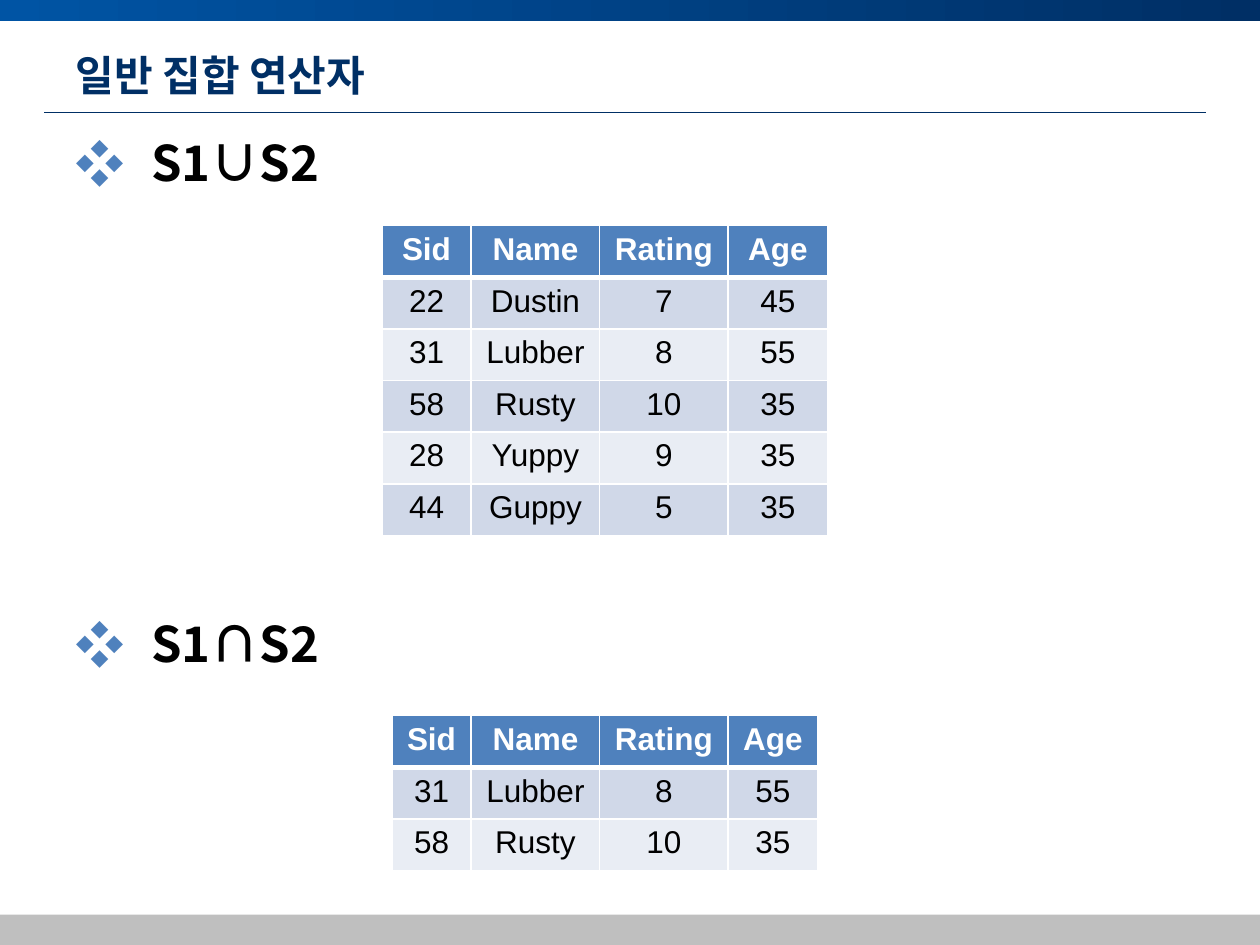
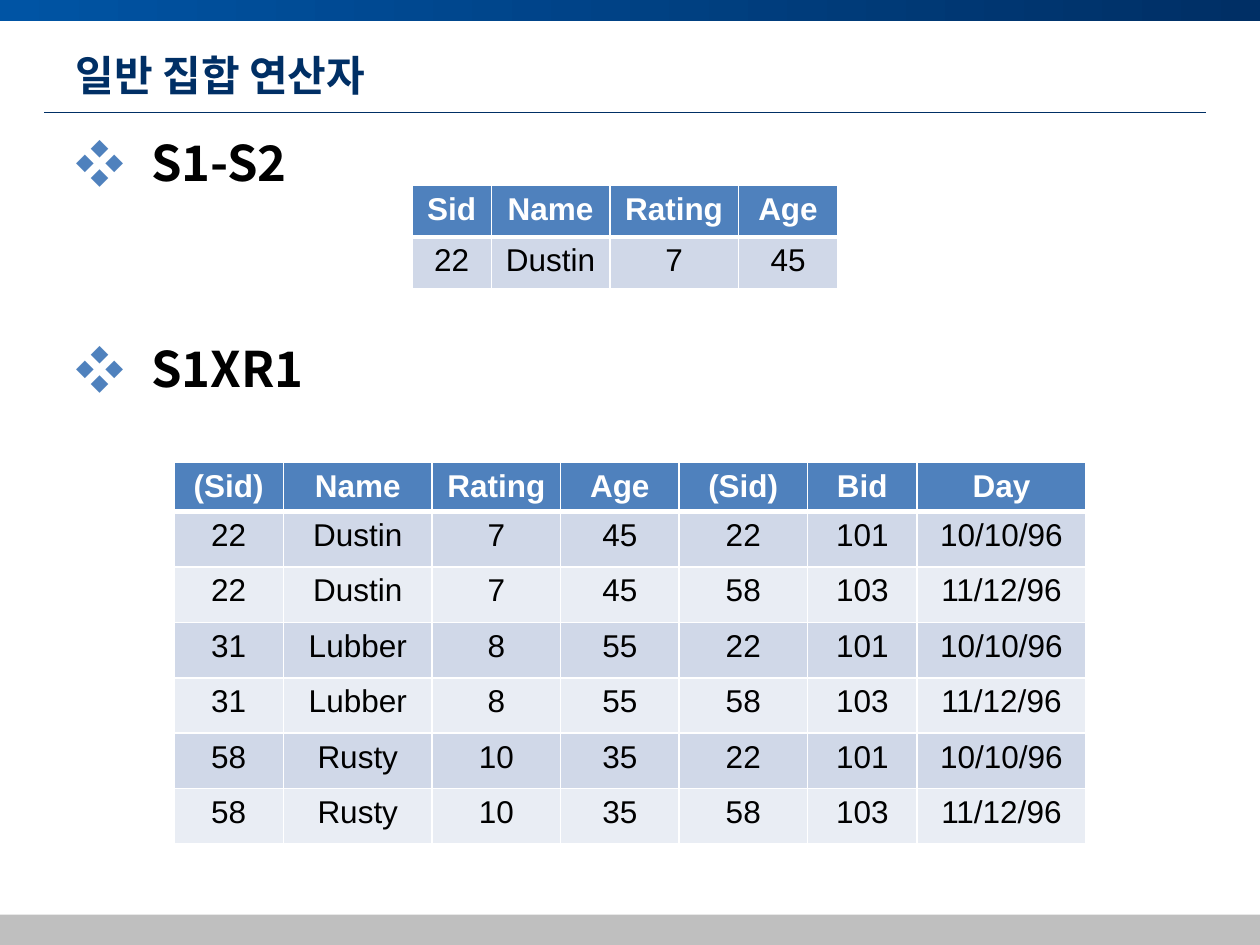
"""Build two slides on the general set operators of relational algebra."""
from lxml import etree
from pptx import Presentation
from pptx import util as u
from pptx.dml.color import RGBColor
from pptx.enum import shapes, text
from pptx.oxml import ns

NAVY = RGBColor(0x00, 0x2F, 0x65)
ROYAL = RGBColor(0x00, 0x54, 0xA4)
BLUE = RGBColor(0x4F, 0x81, 0xBD)
PALE = RGBColor(0xD0, 0xD8, 0xE8)
PALER = RGBColor(0xE9, 0xED, 0xF4)
GRAY = RGBColor(0xBF, 0xBF, 0xBF)
WHITE = RGBColor(0xFF, 0xFF, 0xFF)
BLACK = RGBColor(0x00, 0x00, 0x00)

TITLE = "일반 집합 연산자"
SAILOR_FIELDS = ("Sid", "Name", "Rating", "Age")
DUSTIN = ("22", "Dustin", "7", "45")
LUBBER = ("31", "Lubber", "8", "55")
RUSTY = ("58", "Rusty", "10", "35")
YUPPY = ("28", "Yuppy", "9", "35")
GUPPY = ("44", "Guppy", "5", "35")
RESERVE_FIELDS = ("(Sid)", "Bid", "Day")
RESERVES = (("22", "101", "10/10/96"), ("58", "103", "11/12/96"))


def add_xml(parent, tag, **attributes):
    return etree.SubElement(parent, ns.qn(tag), attributes)


class Deck:
    heading_font = "Noto Sans CJK KR"
    table_font = "Arial"
    line_height = 33.6

    def __init__(self):
        self.presentation = Presentation()
        self.presentation.slide_width = u.Inches(10)
        self.presentation.slide_height = u.Inches(7.5)
        self.slide = None

    def add_slide(self, title):
        layout = self.presentation.slide_layouts[1]
        self.slide = self.presentation.slides.add_slide(layout)
        self.band(0, 0.17, ROYAL, NAVY)
        self.rule()
        self.band(7.26, 0.24, GRAY)
        self.title(title)

    def band(self, top, height, color, end_color=None):
        shape = self.slide.shapes.add_shape(
            shapes.MSO_SHAPE.RECTANGLE, 0, u.Inches(top), u.Inches(10), u.Inches(height))
        shape.shadow.inherit = False
        shape.line.fill.background()
        if end_color is None:
            shape.fill.solid()
            shape.fill.fore_color.rgb = color
        else:
            shape.fill.gradient()
            shape.fill.gradient_angle = 0
            for stop, stop_color in zip(shape.fill.gradient_stops, (color, end_color)):
                stop.color.rgb = stop_color

    def rule(self):
        line = self.slide.shapes.add_connector(
            shapes.MSO_CONNECTOR.STRAIGHT,
            u.Inches(0.35), u.Inches(0.89), u.Inches(9.57), u.Inches(0.89))
        line.line.color.rgb = NAVY
        line.line.width = u.Pt(0.5)
        add_xml(line._element.spPr, "a:effectLst")

    def place(self, shape, left, top, width, height):
        shape.left, shape.top = u.Inches(left), u.Inches(top)
        shape.width, shape.height = u.Inches(width), u.Inches(height)
        shape.text_frame.auto_size = text.MSO_AUTO_SIZE.NONE

    def style(self, paragraph, font_name, size, color, bold):
        font = paragraph.font
        font.name, font.size, font.bold = font_name, u.Pt(size), bold
        font.color.rgb = color
        add_xml(font._element, "a:ea", typeface=font_name)

    def title(self, words):
        shape = self.slide.shapes.title
        self.place(shape, 0.5, 0.3, 9, 0.58)
        shape.text_frame.text = words
        shape.text_frame.vertical_anchor = text.MSO_ANCHOR.MIDDLE
        paragraph = shape.text_frame.paragraphs[0]
        paragraph.alignment = text.PP_ALIGN.LEFT
        self.style(paragraph, self.heading_font, 24, NAVY, True)

    def bullets(self, items, pitch):
        shape = self.slide.placeholders[1]
        self.place(shape, 0.5, 1, 9, 5.74)
        shape.text_frame.text = "\n".join(items)
        for index, paragraph in enumerate(shape.text_frame.paragraphs):
            paragraph.line_spacing = u.Pt(self.line_height)
            paragraph.space_before = u.Pt(pitch - self.line_height if index else 0)
            properties = paragraph._p.get_or_add_pPr()
            properties.set("marL", str(u.Inches(0.6)))
            properties.set("indent", str(-u.Inches(0.6)))
            bullet_color = add_xml(properties, "a:buClr")
            add_xml(bullet_color, "a:srgbClr", val=str(BLUE))
            add_xml(properties, "a:buFont", typeface=self.heading_font)
            add_xml(properties, "a:buChar", char="❖")
            self.style(paragraph, self.heading_font, 28, BLACK, True)

    def table(self, left, top, widths, rows, header_height=0.41, row_height=0.41):
        heights = [header_height] + [row_height] * (len(rows) - 1)
        frame = self.slide.shapes.add_table(
            len(rows), len(widths), u.Inches(left), u.Inches(top),
            u.Inches(sum(widths)), u.Inches(sum(heights)))
        table = frame.table
        for column, width in zip(table.columns, widths):
            column.width = u.Inches(width)
        for index, (row, height, values) in enumerate(zip(table.rows, heights, rows)):
            row.height = u.Inches(height)
            for cell, value in zip(row.cells, values):
                self.cell(cell, value, index)

    def cell(self, cell, value, row_index):
        header = row_index == 0
        cell.text = value
        paragraph = cell.text_frame.paragraphs[0]
        paragraph.alignment = text.PP_ALIGN.CENTER
        self.style(paragraph, self.table_font, 18, WHITE if header else BLACK, header)
        properties = cell._tc.get_or_add_tcPr()
        for side in "LRTB":
            thick = (header and side == "B") or (row_index == 1 and side == "T")
            border = add_xml(properties, f"a:ln{side}", w=str(u.Pt(3 if thick else 1)))
            add_xml(add_xml(border, "a:solidFill"), "a:srgbClr", val=str(WHITE))
        cell.fill.solid()
        cell.fill.fore_color.rgb = BLUE if header else PALE if row_index % 2 else PALER

    def save(self):
        self.presentation.save("out.pptx")


def main():
    deck = Deck()

    deck.add_slide(TITLE)
    deck.bullets(["S1∪S2", "S1∩S2"], pitch=274.9)
    deck.table(3.03, 1.79, [0.71, 1.02, 1.02, 0.79],
               [SAILOR_FIELDS, DUSTIN, LUBBER, RUSTY, YUPPY, GUPPY])
    deck.table(3.11, 5.68, [0.63, 1.02, 1.02, 0.71], [SAILOR_FIELDS, LUBBER, RUSTY])

    deck.add_slide(TITLE)
    deck.bullets(["S1-S2", "S1XR1"], pitch=117.7)
    deck.table(3.27, 1.47, [0.63, 0.94, 1.02, 0.79], [SAILOR_FIELDS, DUSTIN])
    product_fields = ("(Sid)",) + SAILOR_FIELDS[1:] + RESERVE_FIELDS
    product = [sailor + reserve for sailor in (DUSTIN, LUBBER, RUSTY) for reserve in RESERVES]
    deck.table(1.38, 3.67, [0.87, 1.18, 1.02, 0.94, 1.02, 0.87, 1.34],
               [product_fields] + product, header_height=0.39, row_height=0.44)

    deck.save()


if __name__ == "__main__":
    main()
